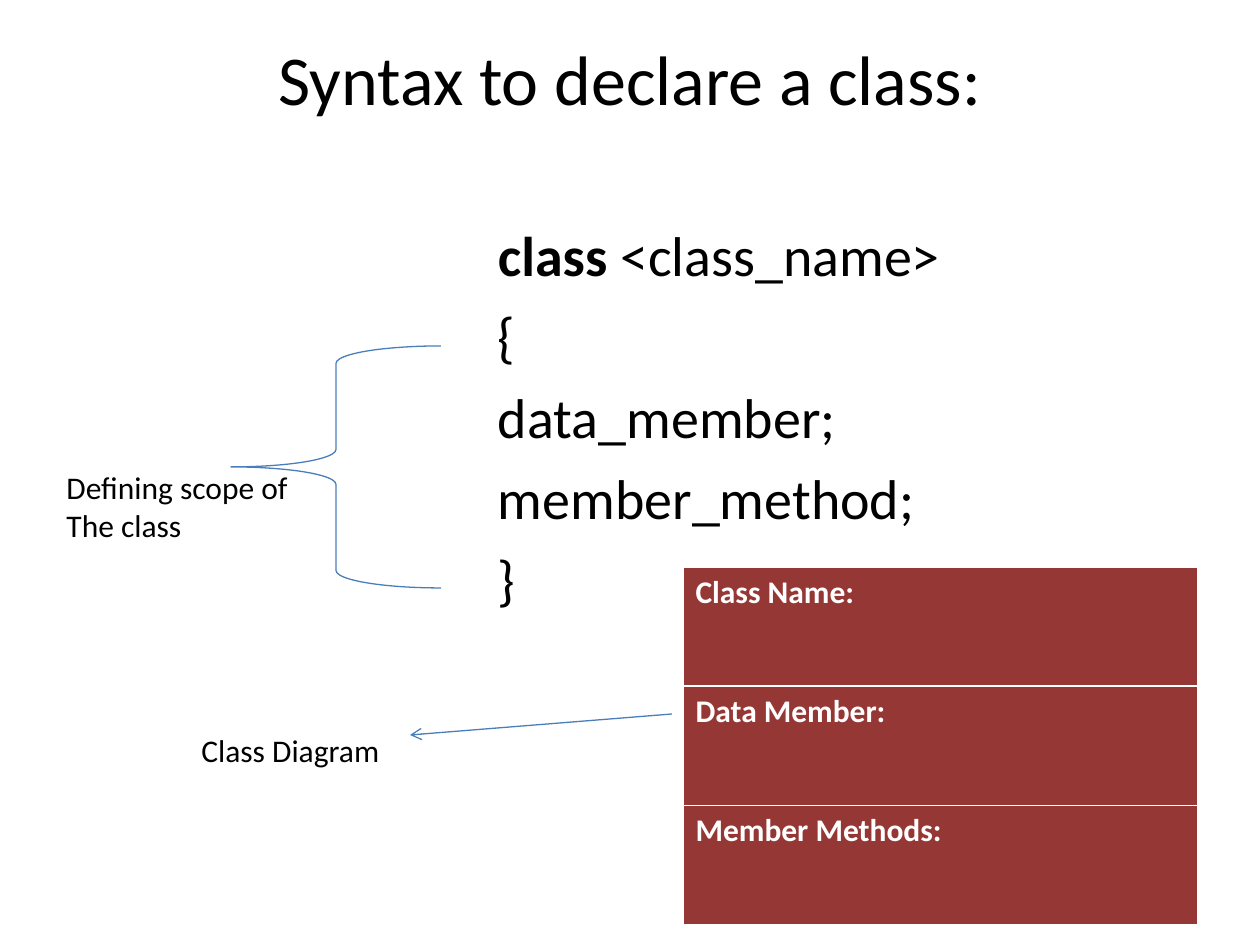
"""Build the slide on how a class is declared."""
from dataclasses import dataclass

from lxml.etree import SubElement
from pptx import Presentation
from pptx.dml.color import RGBColor
from pptx.enum.shapes import MSO_CONNECTOR, MSO_SHAPE
from pptx.enum.text import MSO_ANCHOR, PP_ALIGN
from pptx.oxml.ns import qn
from pptx.util import Emu, Pt

SCALE = 914400 // 126
BLACK = RGBColor(0x00, 0x00, 0x00)
WHITE = RGBColor(0xFF, 0xFF, 0xFF)
BLUE = RGBColor(0x4A, 0x7E, 0xBB)
RED = RGBColor(0x95, 0x37, 0x35)
FONT = "Calibri"
THIN, THICK = 0.45, 1.47


@dataclass(frozen=True)
class Box:
    """Place of an item in px."""
    left: int
    top: int
    width: int
    height: int

    def emu(self) -> tuple:
        return px(self.left), px(self.top), px(self.width), px(self.height)


@dataclass(frozen=True)
class Label:
    """Note beside the code."""
    box: Box
    lines: tuple
    wrap: bool


CODE = ("class", "{", "data_member;", "member_method;", "}")
ROWS = ("Class Name:", "Data Member:", "Member Methods:")
LABELS = (
    Label(Box(54, 462, 247, 88), ("Defining scope of", "The class"), False),
    Label(Box(189, 725, 215, 50), ("Class Diagram",), True),
)


def px(count: int) -> Emu:
    """Turn px into EMU."""
    return Emu(count * SCALE)


def style(para, size: int, color: RGBColor = BLACK, bold: bool = False) -> None:
    """Set the font of a paragraph."""
    font = para.font
    font.name, font.size, font.bold = FONT, Pt(size), bold
    font.color.rgb = color


def clear(frame) -> None:
    """Take the insets off a text frame."""
    frame.margin_left = frame.margin_right = 0
    frame.margin_top = frame.margin_bottom = 0


def add_text(slide, box: Box, lines: tuple, size: int, wrap: bool = True):
    """Add a text box with one paragraph a line."""
    frame = slide.shapes.add_textbox(*box.emu()).text_frame
    frame.word_wrap = wrap
    frame.text = "\n".join(lines)
    for para in frame.paragraphs:
        style(para, size)
    return frame


def add_title(slide) -> None:
    """Fill and move the title."""
    title = slide.shapes.title
    title.left, title.top, title.width, title.height = Box(63, 35, 1134, 157).emu()
    frame = title.text_frame
    clear(frame)
    frame.vertical_anchor = MSO_ANCHOR.TOP
    frame.text = "Syntax to declare a class:"
    frame.paragraphs[0].alignment = PP_ALIGN.CENTER
    style(frame.paragraphs[0], 40)


def add_code(slide) -> None:
    """Add the lines of the class syntax."""
    frame = add_text(slide, Box(63, 220, 1134, 725), CODE, 32)
    clear(frame)
    frame.margin_left = px(435)
    for para in frame.paragraphs:
        para.space_before = Pt(8)
    head = frame.paragraphs[0]
    head.runs[0].font.bold = True
    head.add_run().text = " <class_name>"


def add_brace(slide) -> None:
    """Add the brace that spans the class body."""
    brace = slide.shapes.add_shape(MSO_SHAPE.LEFT_BRACE, *Box(231, 346, 210, 242).emu())
    brace.shadow.inherit = False
    brace.fill.background()
    brace.line.color.rgb = BLUE
    brace.line.width = Pt(0.75)


def add_edge(cell, side: str, width: float) -> None:
    """Draw one white edge of a cell."""
    edge = SubElement(cell._tc.get_or_add_tcPr(), qn(f"a:ln{side}"), w=str(Pt(width)))
    fill = SubElement(edge, qn("a:solidFill"))
    SubElement(fill, qn("a:srgbClr"), val=str(WHITE))


def add_grid(slide) -> None:
    """Add the class diagram."""
    table = slide.shapes.add_table(len(ROWS), 1, *Box(683, 567, 514, 357).emu()).table
    table.first_row = table.horz_banding = False
    for i, text in enumerate(ROWS):
        cell = table.cell(i, 0)
        top = THICK if i == 1 else THIN
        base = THICK if i == 0 else THIN
        for side, width in zip("LRTB", (THIN, THIN, top, base)):
            add_edge(cell, side, width)
        cell.fill.solid()
        cell.fill.fore_color.rgb = RED
        cell.text = text
        style(cell.text_frame.paragraphs[0], 18, WHITE, True)


def add_arrow(slide) -> None:
    """Add the arrow from the diagram to its label."""
    arrow = slide.shapes.add_connector(
        MSO_CONNECTOR.STRAIGHT, px(672), px(714), px(410), px(735))
    arrow.line.color.rgb = BLUE
    arrow.line.width = Pt(0.75)
    props = arrow.element.spPr
    SubElement(props.find(qn("a:ln")), qn("a:tailEnd"), type="arrow")
    SubElement(props, qn("a:effectLst"))


def main() -> None:
    """Build and save the slide."""
    deck = Presentation()
    deck.slide_width, deck.slide_height = px(1260), px(945)
    slide = deck.slides.add_slide(deck.slide_layouts[5])
    add_title(slide)
    add_code(slide)
    add_brace(slide)
    for label in LABELS:
        add_text(slide, label.box, label.lines, 18, label.wrap)
    add_grid(slide)
    add_arrow(slide)
    deck.save("out.pptx")


if __name__ == "__main__":
    main()
